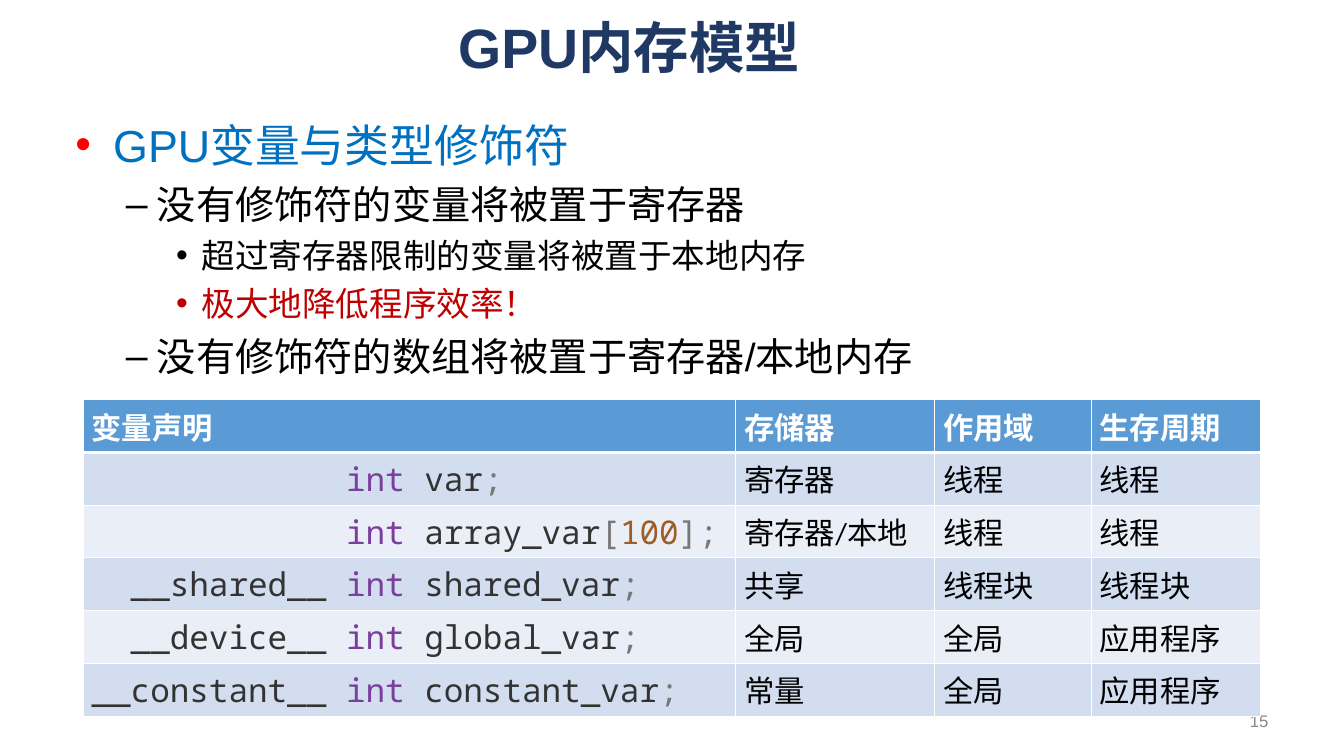
from dataclasses import dataclass

from lxml import etree
from pptx import Presentation
from pptx.dml.color import RGBColor
from pptx.enum.lang import MSO_LANGUAGE_ID
from pptx.enum.text import MSO_ANCHOR, MSO_AUTO_SIZE, PP_ALIGN
from pptx.oxml.ns import qn
from pptx.util import Inches, Pt

CENTER, RIGHT, LEFT = PP_ALIGN.CENTER, PP_ALIGN.RIGHT, PP_ALIGN.LEFT
MIDDLE, TOP = MSO_ANCHOR.MIDDLE, MSO_ANCHOR.TOP
FIXED = MSO_AUTO_SIZE.NONE
CHINESE = MSO_LANGUAGE_ID.SIMPLIFIED_CHINESE


@dataclass(frozen=True)
class Theme:
    """Colours, fonts and type sizes of the slide."""
    navy: str = "203864"
    blue: str = "0070C0"
    red: str = "FF0000"
    alert: str = "C00000"
    black: str = "000000"
    white: str = "FFFFFF"
    gray: str = "898989"
    head: str = "5B9BD5"
    bands: tuple = ("D2DEEF", "EAEFF7")
    key: str = "7A3E9D"
    name: str = "333333"
    mark: str = "777777"
    digit: str = "9C5D27"
    sans: str = "Arial"
    grid: str = "Calibri"
    mono: str = "Noto Sans Mono"
    title: float = 47.5
    levels: tuple = (38.4, 33.6, 28.8)
    cell: float = 26
    code: float = 28
    page: float = 14.4


THEME = Theme()
INDENTS = ((0.45, 0.45, "•"), (0.97, 0.37, "–"), (1.5, 0.3, "•"))
POINTS = (
    (0, "GPU变量与类型修饰符", THEME.blue, THEME.red),
    (1, "没有修饰符的变量将被置于寄存器", THEME.black, None),
    (2, "超过寄存器限制的变量将被置于本地内存", THEME.black, None),
    (2, "极大地降低程序效率！", THEME.alert, None),
    (1, "没有修饰符的数组将被置于寄存器/本地内存", THEME.black, None),
)
HEADS = ("变量声明", "存储器", "作用域", "生存周期")
ROWS = (
    (("", "var", ""), "寄存器", "线程", "线程"),
    (("", "array_var", "100"), "寄存器/本地", "线程", "线程"),
    (("__shared__", "shared_var", ""), "共享", "线程块", "线程块"),
    (("__device__", "global_var", ""), "全局", "全局", "应用程序"),
    (("__constant__", "constant_var", ""), "常量", "全局", "应用程序"),
)
WIDTHS = (7.77, 2.37, 1.86, 2.02)
HEIGHT = 0.56


def write(para, text, size, color, font=THEME.sans, bold=False, align=LEFT):
    """Add one formatted run to a paragraph."""
    para.alignment = align
    run = para.add_run()
    run.text = text
    face = run.font
    face.size, face.name, face.bold = Pt(size), font, bold
    face.color.rgb = RGBColor.from_string(color)
    face.language_id = CHINESE


def add_box(slide, left, top, width, height, anchor=TOP):
    """Add a wrapping text box and return its frame."""
    box = slide.shapes.add_textbox(
        Inches(left), Inches(top), Inches(width), Inches(height))
    frame = box.text_frame
    frame.word_wrap = True
    frame.auto_size = FIXED
    frame.vertical_anchor = anchor
    return frame


def add_title(slide, text):
    """Place and fill the title placeholder."""
    title = slide.shapes.title
    title.left, title.top = Inches(2.33), Inches(0.09)
    title.width, title.height = Inches(10.32), Inches(0.93)
    frame = title.text_frame
    frame.vertical_anchor = MIDDLE
    frame.auto_size = FIXED
    write(frame.paragraphs[0], text, THEME.title, THEME.navy,
          bold=True, align=CENTER)


def set_bullet(para, level, color):
    """Give a paragraph the indent and bullet of its level."""
    left, hang, sign = INDENTS[level]
    para.level = level
    props = para._p.get_or_add_pPr()
    props.set("marL", str(Inches(left)))
    props.set("indent", str(-Inches(hang)))
    if color:
        tint = etree.SubElement(props, qn("a:buClr"))
        etree.SubElement(tint, qn("a:srgbClr"), val=color)
    etree.SubElement(props, qn("a:buFont"), typeface=THEME.sans)
    etree.SubElement(props, qn("a:buChar"), char=sign)


def add_points(slide):
    """Add the bulleted outline."""
    frame = add_box(slide, 0.8, 1.35, 14.4, 6.69)
    for order, (level, text, color, dot) in enumerate(POINTS):
        para = frame.add_paragraph() if order else frame.paragraphs[0]
        size = THEME.levels[level]
        set_bullet(para, level, dot)
        para.space_before = Pt(0.23 * size if order else 0)
        write(para, text, size, color)


def set_cell(cell, fill, top=1, bottom=1):
    """Draw white borders round a cell and fill it."""
    props = cell._tc.get_or_add_tcPr()
    sides = (("L", 1), ("R", 1), ("T", top), ("B", bottom))
    for side, width in sides:
        line = etree.SubElement(props, qn(f"a:ln{side}"), w=str(Pt(width)))
        paint = etree.SubElement(line, qn("a:solidFill"))
        etree.SubElement(paint, qn("a:srgbClr"), val=THEME.white)
    cell.fill.solid()
    cell.fill.fore_color.rgb = RGBColor.from_string(fill)


def write_code(para, prefix, name, count):
    """Write a declaration in syntax colours."""
    parts = [(f"{prefix:>12} ", THEME.name), ("int ", THEME.key),
             (name, THEME.name)]
    if count:
        parts += [("[", THEME.mark), (count, THEME.digit), ("];", THEME.mark)]
    else:
        parts.append((";", THEME.mark))
    for text, color in parts:
        write(para, text, THEME.code, color, font=THEME.mono)


def add_grid(slide):
    """Add the table of variable declarations."""
    count = len(ROWS) + 1
    table = slide.shapes.add_table(
        count, len(HEADS), Inches(0.99), Inches(4.76),
        Inches(sum(WIDTHS)), Inches(HEIGHT * count)).table
    table.horz_banding = False
    for column, width in zip(table.columns, WIDTHS):
        column.width = Inches(width)
    for col, text in enumerate(HEADS):
        cell = table.cell(0, col)
        set_cell(cell, THEME.head, bottom=3)
        write(cell.text_frame.paragraphs[0], text, THEME.cell, THEME.white,
              font=THEME.grid, bold=True)
    for row, values in enumerate(ROWS, 1):
        for col, value in enumerate(values):
            cell = table.cell(row, col)
            set_cell(cell, THEME.bands[(row - 1) % 2], top=3 if row == 1 else 1)
            para = cell.text_frame.paragraphs[0]
            if col:
                write(para, value, THEME.cell, THEME.black, font=THEME.grid)
            else:
                write_code(para, *value)


def add_page(slide, text):
    """Add the page number."""
    frame = add_box(slide, 11.47, 8.34, 3.73, 0.48, anchor=MIDDLE)
    write(frame.paragraphs[0], text, THEME.page, THEME.gray, align=RIGHT)


def main():
    """Build and save the slide."""
    deck = Presentation()
    deck.slide_width, deck.slide_height = Inches(16), Inches(9)
    slide = deck.slides.add_slide(deck.slide_layouts[5])
    add_title(slide, "GPU内存模型")
    add_points(slide)
    add_page(slide, "15")
    add_grid(slide)
    deck.save("out.pptx")


if __name__ == "__main__":
    main()
